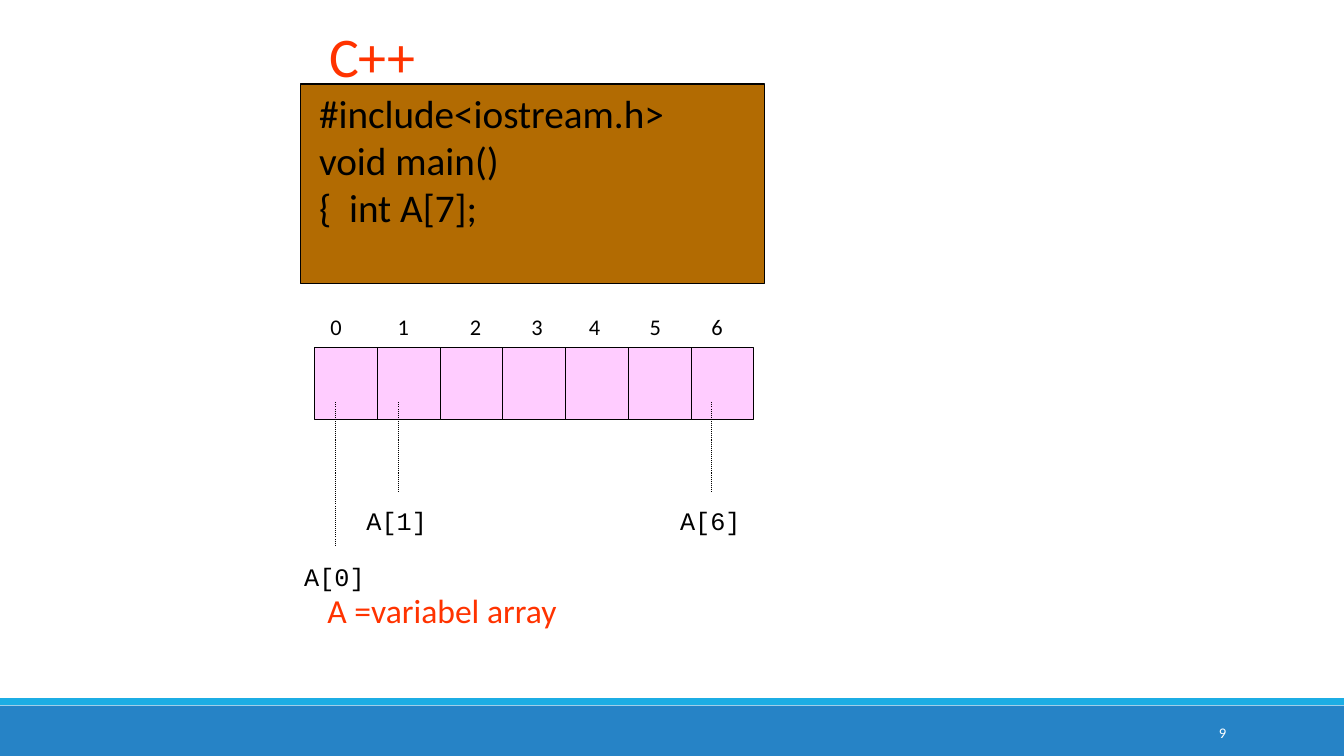
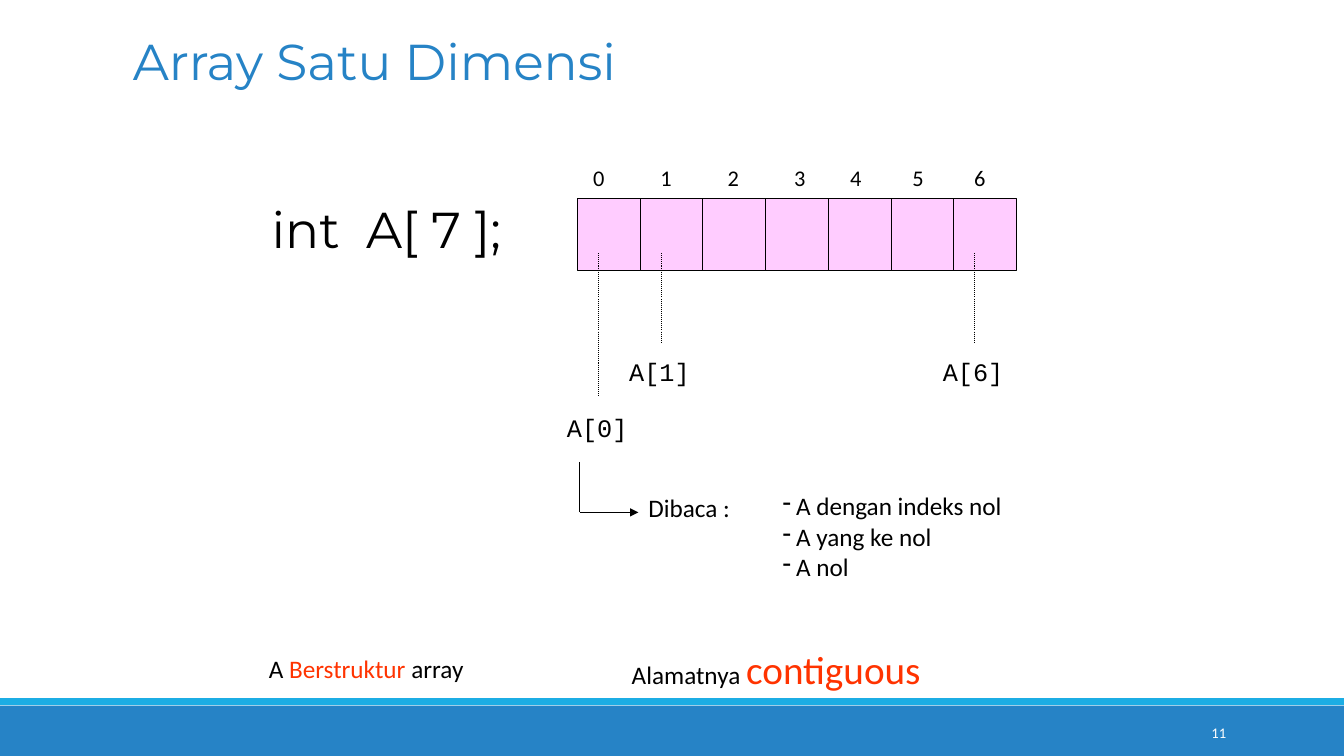
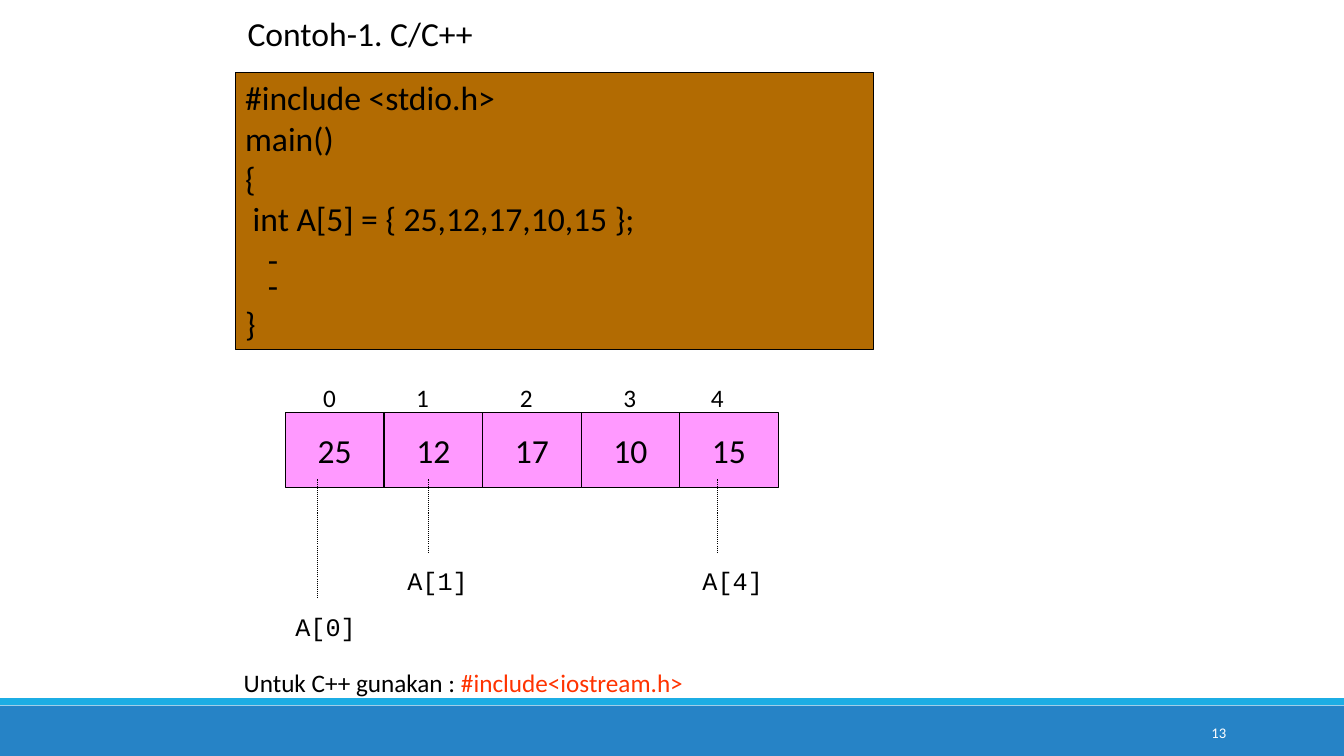
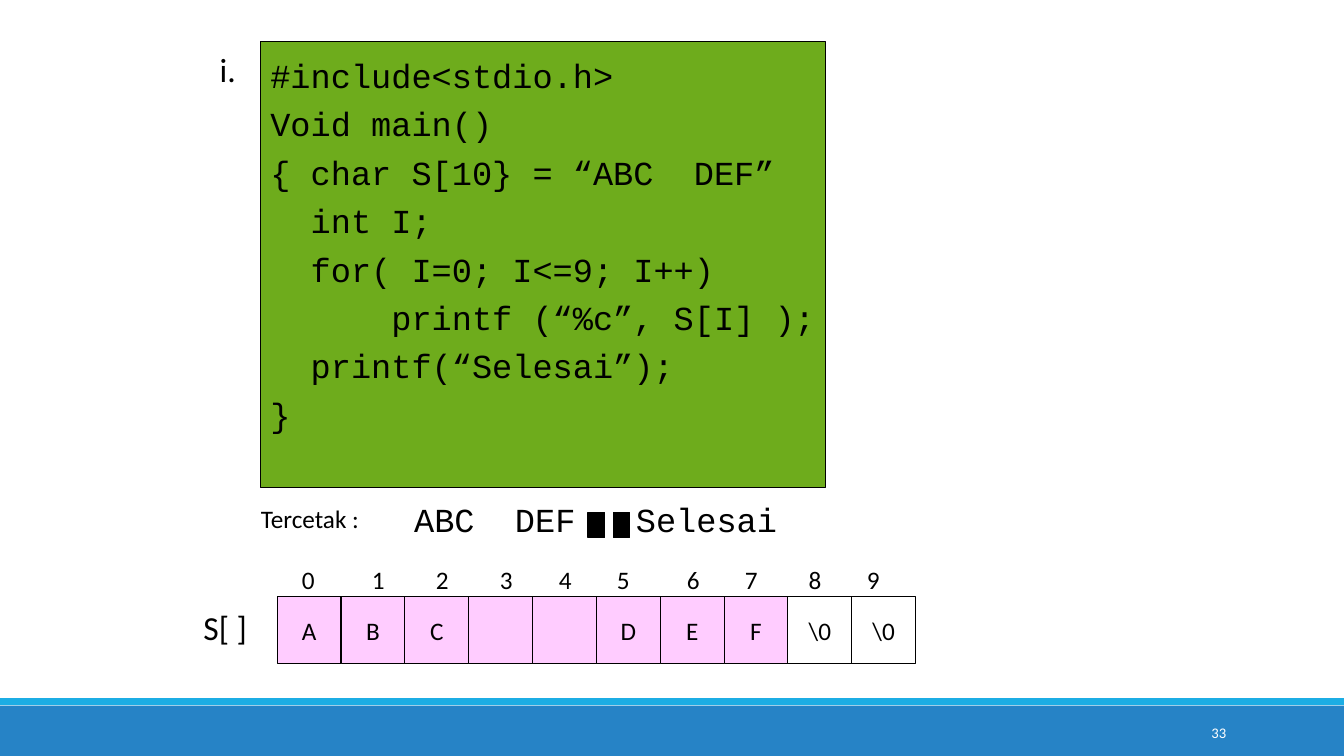
from dataclasses import dataclass
from typing import Optional

import lxml.etree
import pptx
import pptx.dml.color
import pptx.enum.dml
import pptx.enum.shapes
import pptx.enum.text
import pptx.oxml.ns
import pptx.util
from pptx.presentation import Presentation
from pptx.shapes.autoshape import Shape
from pptx.shapes.connector import Connector
from pptx.slide import Slide
from pptx.text.text import Font, TextFrame

Pt = pptx.util.Pt
qn = pptx.oxml.ns.qn
Align = pptx.enum.text.PP_ALIGN
Anchor = pptx.enum.text.MSO_ANCHOR


@dataclass(frozen=True)
class Theme:
    black: str = "000000"
    white: str = "FFFFFF"
    red: str = "FF3300"
    blue: str = "2683C6"
    cyan: str = "1CADE4"
    brown: str = "B26B02"
    green: str = "6EAC1C"
    pale_pink: str = "FFCCFF"
    pink: str = "FF99FF"
    body: str = "Calibri"
    code: str = "Courier New"
    display: str = "Montserrat"
    footer_size: float = 10.5
    index_size: float = 16
    label_size: float = 18
    text_size: float = 24
    code_size: float = 28
    title_size: float = 36
    heading_size: float = 40
    line: float = 0.75
    inset: float = 7.2


THEME = Theme()


@dataclass(frozen=True)
class Style:
    size: float = THEME.label_size
    color: str = THEME.black
    font: str = THEME.body
    align: Align = Align.LEFT
    spacing: Optional[float] = None
    tabs: tuple[float, ...] = ()
    bullet: str = ""
    indent: float = 0


@dataclass(frozen=True)
class Span:
    text: str
    color: Optional[str] = None
    size: Optional[float] = None


@dataclass(frozen=True)
class Box:
    left: float
    top: float
    width: float
    height: float


@dataclass(frozen=True)
class Pointer:
    label: str
    x: float
    end: float
    label_x: float
    label_y: float


@dataclass(frozen=True)
class ArrayRow:
    cell_width: float
    cell_height: float
    values: tuple[str, ...]
    fill: str
    value_size: float
    index_size: float
    index_x: float
    index_y: float
    index_tabs: tuple[float, ...]
    pointers: tuple[Pointer, ...] = ()
    pointer_start: float = 0


Line = str | list[Span]


def rgb(color: str) -> pptx.dml.color.RGBColor:
    return pptx.dml.color.RGBColor.from_string(color)


def set_font(font: Font, size: Optional[float], color: Optional[str]) -> None:
    if size:
        font.size = Pt(size)
    if color:
        font.color.rgb = rgb(color)


def write(frame: TextFrame, lines: list[Line], style: Style,
          spacings: Optional[dict[int, float]] = None) -> None:
    for number, line in enumerate(lines):
        paragraph = frame.add_paragraph() if number else frame.paragraphs[0]
        paragraph.alignment = style.align
        spacing = (spacings or {}).get(number, style.spacing)
        if spacing:
            paragraph.line_spacing = spacing
        properties = paragraph._p.get_or_add_pPr()
        if style.bullet:
            properties.set("marL", str(Pt(style.indent)))
            properties.set("indent", str(-Pt(style.indent)))
            lxml.etree.SubElement(properties, qn("a:buChar"), char=style.bullet)
        if style.tabs:
            stops = lxml.etree.SubElement(properties, qn("a:tabLst"))
            for stop in style.tabs:
                lxml.etree.SubElement(stops, qn("a:tab"), pos=str(Pt(stop)), algn="l")
        paragraph.font.name = style.font
        set_font(paragraph.font, style.size, style.color)
        for span in [Span(line)] if isinstance(line, str) else line:
            run = paragraph.add_run()
            run.text = span.text
            set_font(run.font, span.size, span.color)


def add_text(slide: Slide, box: Box, lines: list[Line], style: Style = Style(),
             wrap: bool = False, grow: bool = True, anchor: Anchor = Anchor.TOP) -> None:
    frame = slide.shapes.add_textbox(
        Pt(box.left), Pt(box.top), Pt(box.width), Pt(box.height)).text_frame
    frame.word_wrap = wrap
    frame.vertical_anchor = anchor
    if grow:
        frame.auto_size = pptx.enum.text.MSO_AUTO_SIZE.SHAPE_TO_FIT_TEXT
    write(frame, lines, style)


def add_rect(slide: Slide, box: Box, fill: Optional[str], outlined: bool = True) -> Shape:
    rect = slide.shapes.add_shape(
        pptx.enum.shapes.MSO_SHAPE.RECTANGLE,
        Pt(box.left), Pt(box.top), Pt(box.width), Pt(box.height))
    rect.shadow.inherit = False
    if fill:
        rect.fill.solid()
        rect.fill.fore_color.rgb = rgb(fill)
    else:
        rect.fill.background()
    if outlined:
        rect.line.color.rgb = rgb(THEME.black)
        rect.line.width = Pt(THEME.line)
    else:
        rect.line.fill.background()
    return rect


def add_line(slide: Slide, x1: float, y1: float, x2: float, y2: float) -> Connector:
    line = slide.shapes.add_connector(
        pptx.enum.shapes.MSO_CONNECTOR.STRAIGHT, Pt(x1), Pt(y1), Pt(x2), Pt(y2))
    line.line.color.rgb = rgb(THEME.black)
    line.line.width = Pt(THEME.line)
    lxml.etree.SubElement(line._element.spPr, qn("a:effectLst"))
    return line


def add_code(slide: Slide, box: Box, fill: str, lines: list[Line], style: Style,
             spacings: Optional[dict[int, float]] = None, wrap: bool = True) -> None:
    frame = add_rect(slide, box, fill).text_frame
    frame.word_wrap = wrap
    frame.vertical_anchor = Anchor.TOP
    write(frame, lines, style, spacings)


def add_array(slide: Slide, left: float, top: float, row: ArrayRow) -> None:
    for position, value in enumerate(row.values):
        cell = add_rect(
            slide,
            Box(left + position * row.cell_width, top, row.cell_width, row.cell_height),
            None if value == "\\0" else row.fill)
        if value:
            cell.text_frame.word_wrap = False
            cell.text_frame.vertical_anchor = Anchor.MIDDLE
            write(cell.text_frame, [value], Style(row.value_size, align=Align.CENTER))
    add_text(
        slide,
        Box(left + row.index_x - THEME.inset, top + row.index_y,
            len(row.values) * row.cell_width + 20, row.index_size + 11),
        ["\t".join(str(index) for index in range(len(row.values)))],
        Style(row.index_size, tabs=row.index_tabs), wrap=True)
    for pointer in row.pointers:
        add_text(slide, Box(left + pointer.label_x, top + pointer.label_y, 57.6, 29),
                 [pointer.label], Style(font=THEME.code))
        stem = add_line(slide, left + pointer.x, top + row.pointer_start,
                        left + pointer.x, top + pointer.end)
        stem.line.dash_style = pptx.enum.dml.MSO_LINE.ROUND_DOT


def start_slide(deck: Presentation, number: int) -> Slide:
    slide = deck.slides.add_slide(deck.slide_layouts[6])
    add_rect(slide, Box(0, 504, 960, 36), THEME.blue, outlined=False)
    add_rect(slide, Box(0, 498.7, 960, 5), THEME.cyan, outlined=False)
    add_text(slide, Box(780, 509, 103, 28.5), [str(number)],
             Style(THEME.footer_size, THEME.white, align=Align.RIGHT),
             wrap=True, grow=False, anchor=Anchor.MIDDLE)
    return slide


def seven_cells(*index_tabs: float) -> ArrayRow:
    return ArrayRow(
        44.82, 51.2, ("",) * 7, THEME.pale_pink, THEME.label_size,
        THEME.index_size, 11.5, -28, index_tabs,
        (Pointer("A[0]", 15.1, 141, -14.5, 149),
         Pointer("A[1]", 60, 103, 30, 109.2),
         Pointer("A[6]", 283.8, 103, 254, 109.2)), 39)


def build_declaration(deck: Presentation) -> None:
    slide = start_slide(deck, 9)
    add_text(slide, Box(226.8, 417.6, 180, 36), ["A =variabel array"],
             Style(THEME.text_size, THEME.red))
    add_code(slide, Box(214.5, 60, 331.5, 142.5), THEME.brown,
             [" #include<iostream.h>", " void main()", " {  int A[7];"],
             Style(THEME.code_size))
    add_text(slide, Box(228, 12.2, 76.3, 55.4), ["C++"],
             Style(THEME.heading_size, THEME.red))
    add_array(slide, 224.7, 248.4, seven_cells(48, 99.5, 143.5, 184.5, 228, 272))


def build_one_dimension(deck: Presentation) -> None:
    slide = start_slide(deck, 11)
    add_text(slide, Box(77.5, 18, 380, 48), ["Array Satu Dimensi"],
             Style(THEME.title_size, THEME.blue, THEME.display, Align.CENTER))
    add_array(slide, 412.4, 141.8, seven_cells(48, 96, 143.5, 183.5, 228, 272))
    add_text(slide, Box(185, 463.4, 154.8, 29),
             [[Span("A"), Span(" Berstruktur ", THEME.red), Span("array")]])
    add_text(slide, Box(444.2, 457.2, 223.2, 41),
             [[Span("Alamatnya "), Span("contiguous", THEME.red, THEME.code_size)]])
    add_line(slide, 414, 330, 414, 366)
    arrow = add_line(slide, 414, 366, 456, 366)
    lxml.etree.SubElement(arrow.line._get_or_add_ln(), qn("a:tailEnd"), type="triangle")
    add_text(slide, Box(456, 348, 86.4, 29), ["Dibaca :"])
    add_text(slide, Box(552, 347, 172.8, 72.7),
             ["A dengan indeks nol", "A yang ke nol", "A nol"],
             Style(bullet="-", indent=9.6))
    add_text(slide, Box(176, 138, 200, 51), ["int  A[ 7 ];"],
             Style(THEME.title_size, font=THEME.display, align=Align.CENTER))


def build_initial_values(deck: Presentation) -> None:
    slide = start_slide(deck, 13)
    add_array(slide, 203.9, 294.8, ArrayRow(
        70.4, 53.5, ("25", "12", "17", "10", "15"), THEME.pink, THEME.text_size,
        THEME.label_size, 27, -25, (66.5, 140.5, 214.5, 277),
        (Pointer("A[0]", 23, 132, 0, 138.6),
         Pointer("A[1]", 102.4, 100, 80, 105.8),
         Pointer("A[4]", 308.8, 100, 290.8, 105.8)), 47.7))
    add_code(slide, Box(168, 51.6, 456, 198), THEME.brown,
             ["#include <stdio.h>", "main()", "{", " int A[5] = { 25,12,17,10,15 };",
              "   -", "   -", "}"],
             Style(THEME.text_size), {5: 0.6})
    add_text(slide, Box(169.7, 5.8, 176.4, 36), ["Contoh-1. C/C++"], Style(THEME.text_size))
    add_text(slide, Box(167, 472.8, 332, 29),
             [[Span("Untuk C++ gunakan : "), Span("#include<iostream.h>", THEME.red)]])


def build_string_output(deck: Presentation) -> None:
    slide = start_slide(deck, 33)
    add_text(slide, Box(288.7, 352.8, 287.3, 36), ["ABC  DEF\tSelesai"],
             Style(THEME.text_size, font=THEME.code, tabs=(158.4,)), wrap=True)
    add_code(slide, Box(186, 30, 403.5, 318), THEME.green,
             ["#include<stdio.h>", "Void main()", "{ char S[10} = “ABC  DEF”",
              "  int I;", "  for( I=0; I<=9; I++)", "      printf (“%c”, S[I] );",
              "  printf(“Selesai”);", "}"],
             Style(THEME.text_size, font=THEME.code, spacing=1.2), wrap=False)
    add_text(slide, Box(149.8, 31.7, 26, 36), ["i."], Style(THEME.text_size))
    add_text(slide, Box(179.2, 356.2, 85.7, 29), ["Tercetak :"])
    for blank in range(2):
        add_rect(slide, Box(420 + 18 * blank, 366, 12, 18), THEME.black)
    add_array(slide, 198, 426, ArrayRow(
        45.6, 48, ("A", "B", "C", "", "", "D", "E", "F", "\\0", "\\0"),
        THEME.pale_pink, THEME.label_size, THEME.label_size, 17.8, -26.4,
        (50, 95.7, 141.4, 183.5, 225, 275, 316.5, 362, 403.5)))
    add_text(slide, Box(138.2, 430, 46, 36), ["S[ ]"], Style(THEME.text_size))


def main() -> None:
    deck = pptx.Presentation()
    deck.slide_width = Pt(960)
    deck.slide_height = Pt(540)
    build_declaration(deck)
    build_one_dimension(deck)
    build_initial_values(deck)
    build_string_output(deck)
    deck.save("out.pptx")


if __name__ == "__main__":
    main()
